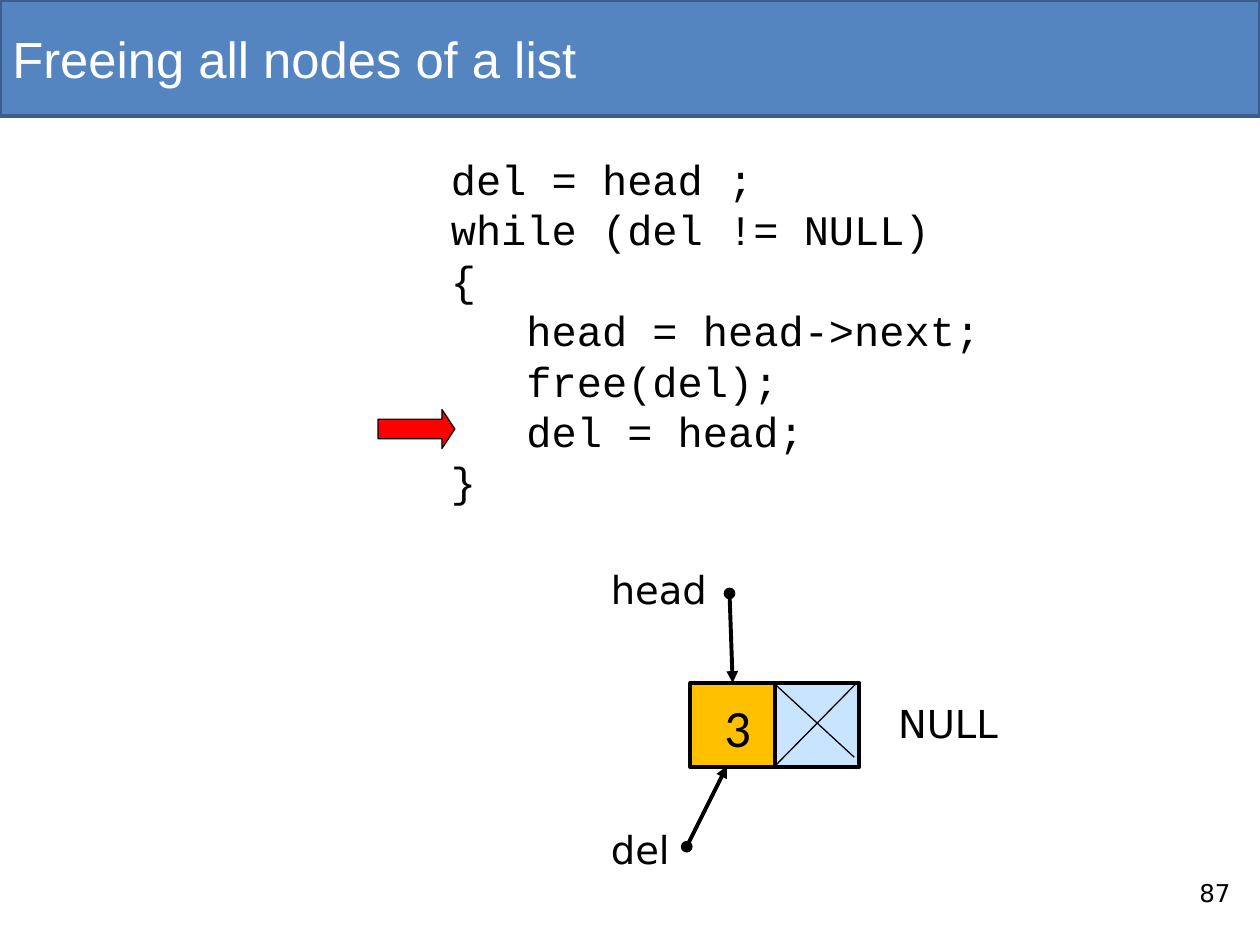
from dataclasses import dataclass

from lxml.etree import SubElement
from pptx import Presentation
from pptx.dml.color import RGBColor
from pptx.enum.shapes import MSO_CONNECTOR, MSO_SHAPE
from pptx.enum.text import MSO_ANCHOR
from pptx.oxml.ns import qn
from pptx.util import Inches, Pt


@dataclass(frozen=True)
class Theme:
    """Colours, fonts and type sizes of the slide."""
    ink: str = "000000"
    title_ink: str = "FFFFFF"
    banner: str = "5485C0"
    banner_edge: str = "3A5F8C"
    data_cell: str = "FFC000"
    link_cell: str = "C9E4FF"
    marker: str = "FF0000"
    title_font: str = "Arial"
    code_font: str = "Courier New"
    label_font: str = "DejaVu Sans"
    value_font: str = "Calibri"
    title_size: float = 29
    code_size: float = 24
    code_pitch: float = 28.8
    label_size: float = 22
    value_size: float = 30
    page_size: float = 14
    thick: float = 2.25
    thin: float = 0.75


THEME = Theme()
CODE = (
    "del = head ;",
    "while (del != NULL)",
    "{",
    "   head = head->next;",
    "   free(del);",
    "   del = head;",
    "}",
)


def add_words(slide, box, lines, font, size, color=THEME.ink, pitch=None,
              anchor=MSO_ANCHOR.TOP):
    """Add a text box with one paragraph per line."""
    words = slide.shapes.add_textbox(*map(Inches, box))
    frame = words.text_frame
    frame.word_wrap = True
    frame.vertical_anchor = anchor
    for index, line in enumerate(lines):
        paragraph = frame.add_paragraph() if index else frame.paragraphs[0]
        if pitch:
            paragraph.line_spacing = Pt(pitch)
        run = paragraph.add_run()
        run.text = line
        run.font.name = font
        run.font.size = Pt(size)
        run.font.color.rgb = RGBColor.from_string(color)
    return words


def add_block(slide, preset, box, fill, edge, width):
    """Add a filled, outlined preset shape without a shadow."""
    block = slide.shapes.add_shape(preset, *map(Inches, box))
    block.shadow.inherit = False
    block.fill.solid()
    block.fill.fore_color.rgb = RGBColor.from_string(fill)
    block.line.color.rgb = RGBColor.from_string(edge)
    block.line.width = Pt(width)
    return block


def add_line(slide, start, end, width):
    """Add a straight black line without a shadow."""
    line = slide.shapes.add_connector(
        MSO_CONNECTOR.STRAIGHT, *map(Inches, (*start, *end)))
    line.line.color.rgb = RGBColor.from_string(THEME.ink)
    line.line.width = Pt(width)
    SubElement(line._element.spPr, qn("a:effectLst"))
    return line


def add_pointer(slide, start, end):
    """Add a pointer with a dot at its start and an arrowhead at its end."""
    pointer = add_line(slide, start, end, THEME.thick)
    outline = pointer.line._get_or_add_ln()
    SubElement(outline, qn("a:headEnd"), type="oval")
    SubElement(outline, qn("a:tailEnd"), type="triangle")
    return pointer


def add_label(slide, left, top, name, width=1.08):
    """Add the name of a pointer or its value."""
    return add_words(slide, (left, top, width, 0.47), [name],
                     THEME.label_font, THEME.label_size)


def add_banner(slide):
    """Add the title bar and its title."""
    banner = (0, 0, 10, 0.92)
    add_block(slide, MSO_SHAPE.RECTANGLE, banner, THEME.banner,
              THEME.banner_edge, 2)
    add_words(slide, banner, ["Freeing all nodes of a list"],
              THEME.title_font, THEME.title_size, THEME.title_ink,
              anchor=MSO_ANCHOR.MIDDLE)


def add_code(slide):
    """Add the listing and the marker of the current statement."""
    add_words(slide, (3.48, 1.17, 5, 2.93), CODE, THEME.code_font,
              THEME.code_size, pitch=THEME.code_pitch)
    marker = add_block(slide, MSO_SHAPE.RIGHT_ARROW, (3, 3.25, 0.61, 0.31),
                       THEME.marker, THEME.ink, THEME.thin)
    marker.adjustments[0] = 0.5
    marker.adjustments[1] = 0.33


def add_node(slide):
    """Add the last list node, its value and its crossed-out link."""
    left, top, side = 5.48, 5.42, 0.67
    link_left = left + side
    add_block(slide, MSO_SHAPE.RECTANGLE, (link_left, top, side, side),
              THEME.link_cell, THEME.ink, THEME.thick)
    data_cell = add_block(slide, MSO_SHAPE.RECTANGLE, (left, top, side, side),
                          THEME.data_cell, THEME.ink, THEME.thick)
    add_words(slide, (5.65, 5.47, 1, 0.61), ["3"], THEME.value_font,
              THEME.value_size)
    add_line(slide, (6.81, 5.41), (link_left, 6.08), THEME.thin)
    add_line(slide, (link_left, 5.43), (6.78, 6.01), THEME.thin)
    return data_cell


def main():
    """Build and save the slide."""
    deck = Presentation()
    deck.slide_width, deck.slide_height = Inches(10), Inches(7.5)
    slide = deck.slides.add_slide(deck.slide_layouts[6])

    add_banner(slide)
    add_code(slide)
    data_cell = add_node(slide)

    head_pointer = add_pointer(slide, (5.79, 4.71), (5.81, 5.41))
    head_pointer.end_connect(data_cell, 0)
    add_pointer(slide, (5.45, 6.72), (5.77, 6.08))

    add_label(slide, 4.75, 4.44, "head")
    add_label(slide, 4.75, 6.51, "del")
    add_label(slide, 7.03, 5.51, "NULL", width=1.17)
    add_words(slide, (9.42, 6.92, 0.5, 0.4), ["87"], THEME.label_font,
              THEME.page_size)

    deck.save("out.pptx")


if __name__ == "__main__":
    main()
